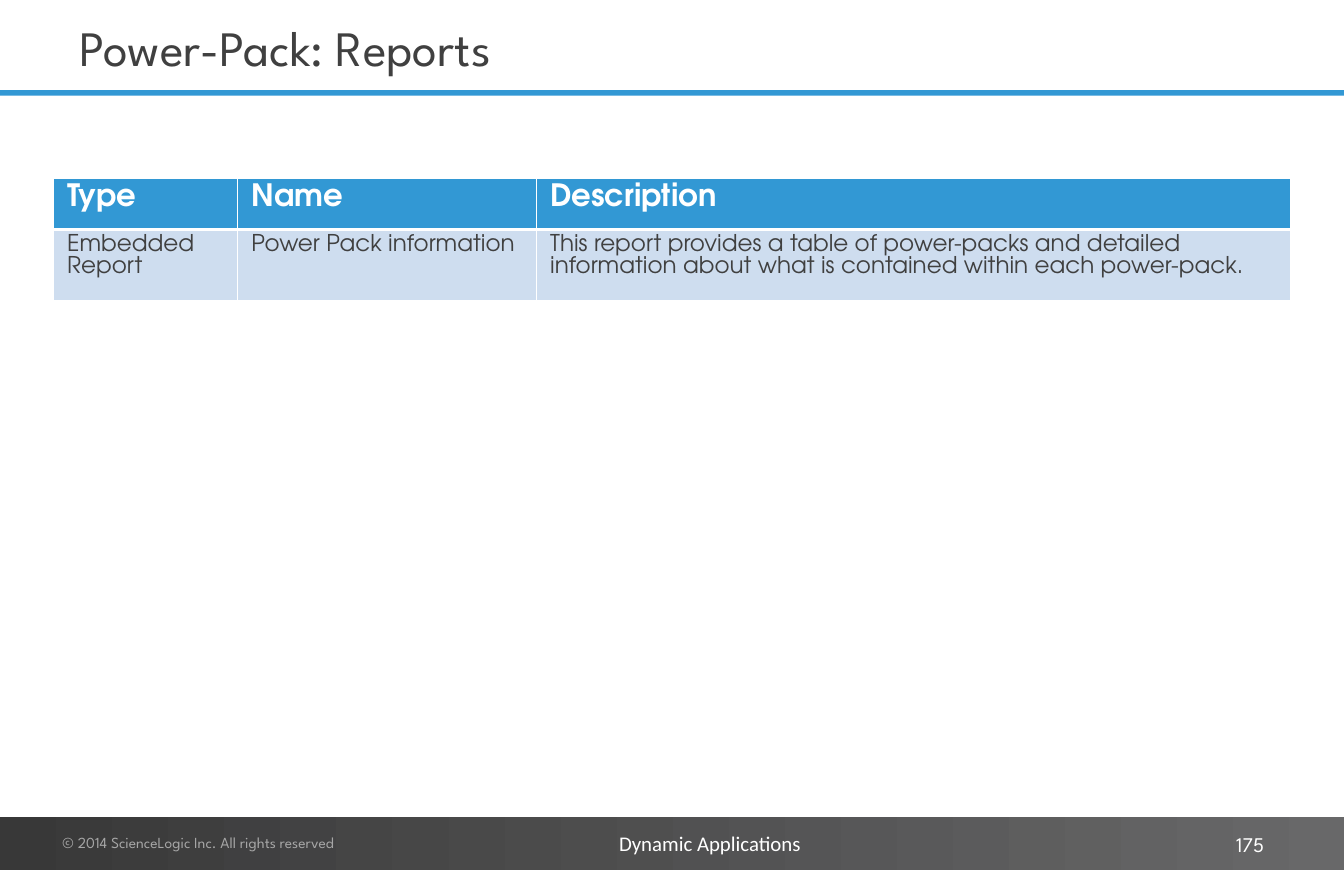
from lxml import etree
from pptx import Presentation
from pptx.dml.color import RGBColor
from pptx.enum.shapes import MSO_SHAPE
from pptx.enum.text import MSO_ANCHOR, MSO_AUTO_SIZE, PP_ALIGN
from pptx.oxml.ns import qn
from pptx.util import Pt

RECTANGLE = MSO_SHAPE.RECTANGLE
TOP, MIDDLE = MSO_ANCHOR.TOP, MSO_ANCHOR.MIDDLE
LEFT, RIGHT = PP_ALIGN.LEFT, PP_ALIGN.RIGHT
NO_AUTOFIT = MSO_AUTO_SIZE.NONE
EMU_PER_PX = 9144
TITLE_ONLY = 5
HEADING_FONT = "League Spartan"
TABLE_FONT = "TeX Gyre Adventor"
FOOTER_FONT = "Calibri"
COLORS = {
    "accent": "3298D4",
    "row": "CEDDEF",
    "ink": "404040",
    "muted": "A6A6A6",
    "white": "FFFFFF",
    "footer_start": "383838",
    "footer_end": "686869",
}
REPORT_COLUMNS = [233, 378, 953]
REPORT_ROWS = [64, 90]
REPORTS = [
    ["Type", "Name", "Description"],
    [
        "Embedded Report",
        "Power Pack information",
        "This report provides a table of power-packs and detailed "
        "information about what is contained within each power-pack.",
    ],
]


def px(length):
    return length * EMU_PER_PX


def color(name):
    return RGBColor.from_string(COLORS[name])


def set_text(frame, text, size, font, ink, align=LEFT, bold=False):
    frame.text = text
    paragraph = frame.paragraphs[0]
    paragraph.alignment = align
    paragraph.font.size = Pt(size)
    paragraph.font.name = font
    paragraph.font.bold = bold
    paragraph.font.color.rgb = color(ink)


def set_frame(frame, anchor, wrap=True):
    frame.auto_size = NO_AUTOFIT
    frame.word_wrap = wrap
    frame.vertical_anchor = anchor
    frame.margin_left = frame.margin_right = px(16)
    frame.margin_top = frame.margin_bottom = px(8)


def add_bar(slide, left, top, width, height):
    bar = slide.shapes.add_shape(RECTANGLE, px(left), px(top), px(width), px(height))
    bar.shadow.inherit = False
    bar.line.fill.background()
    return bar


def add_label(slide, box, text, size, font, ink, anchor=TOP, align=LEFT, wrap=True):
    label = slide.shapes.add_textbox(*map(px, box)).text_frame
    set_frame(label, anchor, wrap)
    set_text(label, text, size, font, ink, align)


def add_header(slide, left, top, width, height):
    rule = add_bar(slide, left, top + height - 7, width, 7)
    rule.fill.solid()
    rule.fill.fore_color.rgb = color("accent")
    title = slide.shapes.title
    title.left, title.top = px(left + 85), px(top + 1)
    title.width, title.height = px(1452), px(117)
    set_frame(title.text_frame, MIDDLE)
    set_text(title.text_frame, "Power-Pack: Reports", 45, HEADING_FONT, "ink")


def add_footer(slide, left, top, width, height):
    band = add_bar(slide, left, top, width, height)
    band.fill.gradient()
    band.fill.gradient_angle = 0
    for stop, name in zip(band.fill.gradient_stops, ("footer_start", "footer_end")):
        stop.color.rgb = color(name)
    add_label(slide, (left + 63, top + 13, 500, 40),
              "© 2014 ScienceLogic Inc. All rights reserved", 14, HEADING_FONT, "muted")
    add_label(slide, (left + 767, top + 9, 265, 48),
              "Dynamic Applications", 19, FOOTER_FONT, "white", wrap=False)
    add_label(slide, (left + 1218, top + 13, 397, 43),
              "175", 19, HEADING_FONT, "white", MIDDLE, RIGHT)


def set_borders(cell, bottom):
    properties = cell._tc.get_or_add_tcPr()
    for side, weight in (("L", 1), ("R", 1), ("T", 1), ("B", bottom)):
        border = etree.SubElement(properties, qn(f"a:ln{side}"), w=str(Pt(weight)))
        fill = etree.SubElement(border, qn("a:solidFill"))
        etree.SubElement(fill, qn("a:srgbClr"), val=COLORS["white"])


def add_reports(slide, left, top, width, height):
    reports = slide.shapes.add_table(
        len(REPORT_ROWS), len(REPORT_COLUMNS), px(left), px(top), px(width), px(height)
    ).table
    for column, column_width in zip(reports.columns, REPORT_COLUMNS):
        column.width = px(column_width)
    for index, (row, row_height) in enumerate(zip(reports.rows, REPORT_ROWS)):
        row.height = px(row_height)
        heading = index == 0
        for cell, text in zip(row.cells, REPORTS[index]):
            cell.margin_left = cell.margin_right = px(17)
            cell.margin_top = cell.margin_bottom = px(7)
            cell.vertical_anchor = TOP
            set_borders(cell, 3 if heading else 1)
            cell.fill.solid()
            cell.fill.fore_color.rgb = color("accent" if heading else "row")
            set_text(cell.text_frame, text, 28 if heading else 21, TABLE_FONT,
                     "white" if heading else "ink", bold=heading)


def main():
    presentation = Presentation()
    presentation.slide_width, presentation.slide_height = px(1700), px(1100)
    slide = presentation.slides.add_slide(presentation.slide_layouts[TITLE_ONLY])
    add_footer(slide, 0, 1033, 1702, 69)
    add_header(slide, 0, 0, 1702, 121)
    add_reports(slide, 68, 226, sum(REPORT_COLUMNS), sum(REPORT_ROWS))
    presentation.save("out.pptx")


if __name__ == "__main__":
    main()
